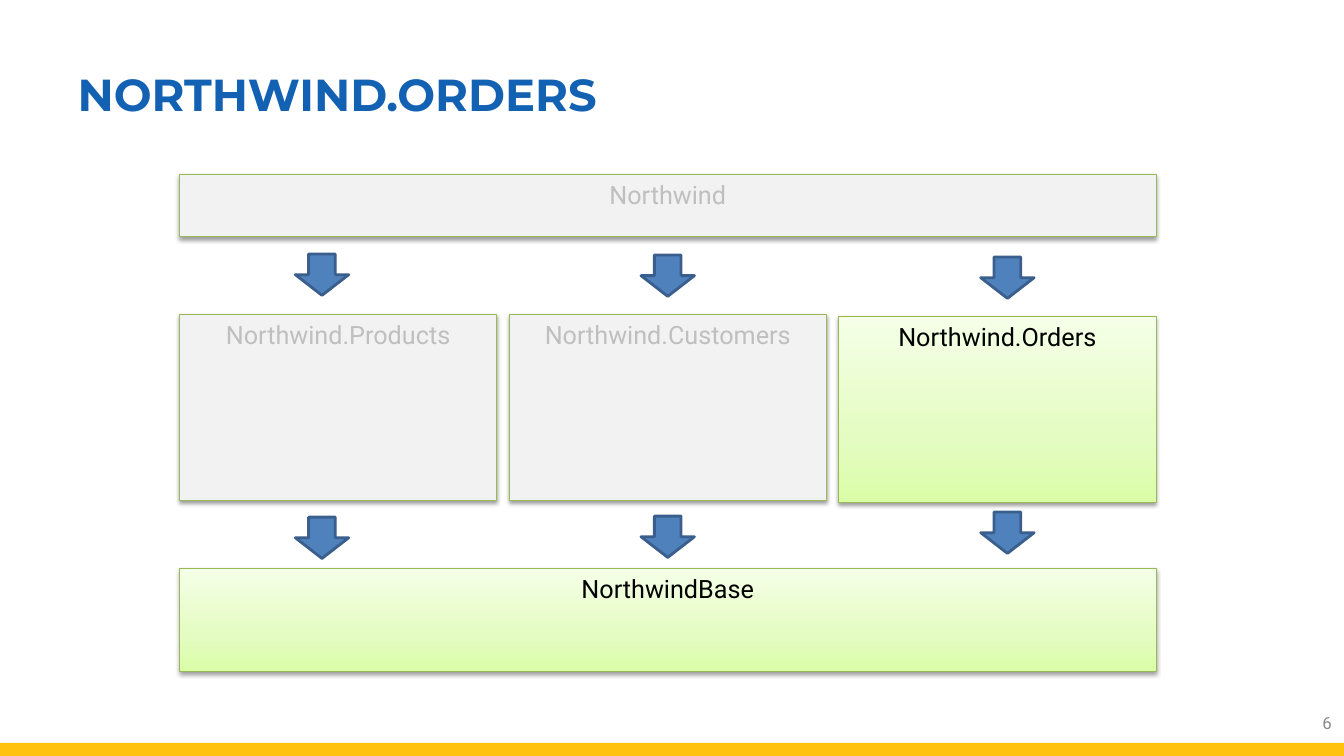
import copy
from dataclasses import dataclass

import pptx
import pptx.dml.color
import pptx.enum.shapes
import pptx.enum.text
import pptx.oxml
import pptx.oxml.ns
import pptx.util

Pt = pptx.util.Pt
Shapes = pptx.enum.shapes.MSO_SHAPE
Align = pptx.enum.text.PP_ALIGN
Anchor = pptx.enum.text.MSO_ANCHOR


@dataclass(frozen=True)
class Theme:
    heading_font: str = "Montserrat"
    body_font: str = "Roboto"
    title_size: float = 32
    label_size: float = 18
    number_size: float = 12
    title: str = "1261B3"
    number: str = "898989"
    band: str = "FFC20F"
    active_text: str = "000000"
    muted_text: str = "BFBFBF"
    muted_fill: str = "F2F2F2"
    active_fill: tuple = ((0, "DAFDA7"), (0.35, "E4FCC2"), (1, "F5FFE7"))
    box_line: str = "98B955"
    arrow_fill: str = "4F81BD"
    arrow_line: str = "3A5F8C"


def rgb(value):
    return pptx.dml.color.RGBColor.from_string(value)


class SlideBuilder:
    def __init__(self, page, theme):
        self.page = page
        self.theme = theme

    def set_text(self, frame, text, font, size, color, align, anchor, bold=False):
        frame.word_wrap = True
        frame.vertical_anchor = anchor
        para = frame.paragraphs[0]
        para.text = text
        para.alignment = align
        para.font.name = font
        para.font.size = Pt(size)
        para.font.bold = bold
        para.font.color.rgb = rgb(color)

    def title(self, text, left, top, width, height):
        title = self.page.shapes.title
        title.left, title.top = Pt(left), Pt(top)
        title.width, title.height = Pt(width), Pt(height)
        self.set_text(title.text_frame, text, self.theme.heading_font, self.theme.title_size,
                      self.theme.title, Align.LEFT, Anchor.MIDDLE, True)

    def page_number(self, text, left, top, width, height):
        box = self.page.shapes.add_textbox(Pt(left), Pt(top), Pt(width), Pt(height))
        self.set_text(box.text_frame, text, self.theme.body_font, self.theme.number_size,
                      self.theme.number, Align.RIGHT, Anchor.MIDDLE)

    def shape(self, kind, left, top, width, height, fill, line=None, weight=0):
        shape = self.page.shapes.add_shape(kind, Pt(left), Pt(top), Pt(width), Pt(height))
        shape.shadow.inherit = False
        shape.fill.solid()
        shape.fill.fore_color.rgb = rgb(fill)
        if line:
            shape.line.color.rgb = rgb(line)
            shape.line.width = Pt(weight)
        else:
            shape.line.fill.background()
        return shape

    def arrow(self, left, top):
        self.shape(Shapes.DOWN_ARROW, left, top, 38.16, 29.52,
                   self.theme.arrow_fill, self.theme.arrow_line, 2)

    def module(self, text, left, top, width, height, active=False):
        theme = self.theme
        box = self.shape(Shapes.RECTANGLE, left, top, width, height,
                         theme.muted_fill, theme.box_line, 0.75)
        if active:
            self.fade(box, theme.active_fill)
        self.drop_shadow(box)
        self.set_text(box.text_frame, text, theme.body_font, theme.label_size,
                      theme.active_text if active else theme.muted_text,
                      Align.CENTER, Anchor.TOP)

    def fade(self, box, colors):
        box.fill.gradient()
        box.fill.gradient_angle = 90
        stops = next(box.element.iter(pptx.oxml.ns.qn("a:gsLst")))
        stops.append(copy.deepcopy(stops[-1]))
        for stop, (position, color) in zip(box.fill.gradient_stops, colors):
            stop.position = position
            stop.color.rgb = rgb(color)

    def drop_shadow(self, box):
        effects = next(box.element.iter(pptx.oxml.ns.qn("a:effectLst")))
        effects.append(pptx.oxml.parse_xml(
            f'<a:outerShdw {pptx.oxml.ns.nsdecls("a")} blurRad="{Pt(3.1)}" '
            f'dist="{Pt(1.6)}" dir="5400000" rotWithShape="0">'
            '<a:srgbClr val="000000"><a:alpha val="38000"/></a:srgbClr></a:outerShdw>'))


deck = pptx.Presentation()
deck.slide_width, deck.slide_height = Pt(960), Pt(540)
page = deck.slides.add_slide(deck.slide_layouts[5])
theme = Theme()
builder = SlideBuilder(page, theme)

builder.shape(Shapes.RECTANGLE, 0, 530.64, 960, 9.36, theme.band)
builder.title("NORTHWIND.ORDERS", 48.24, 21.6, 764.64, 90)
builder.page_number("6", 916.56, 501.84, 41.76, 28.8)

LEFT, FULL_WIDTH, COLUMN_WIDTH = 128.16, 697.68, 226.8
PITCH = (FULL_WIDTH - COLUMN_WIDTH) / 2

builder.module("Northwind", LEFT, 124.56, FULL_WIDTH, 44.64)
builder.module("NorthwindBase", LEFT, 406.08, FULL_WIDTH, 73.44, True)

modules = (
    ("Northwind.Products", 224.64, False),
    ("Northwind.Customers", 224.64, False),
    ("Northwind.Orders", 226.08, True),
)
for column, (name, top, active) in enumerate(modules):
    builder.module(name, LEFT + column * PITCH, top, COLUMN_WIDTH, 133.2, active)

for left, upper, lower in ((210.96, 181.44, 369.36), (457.92, 182.16, 368.64),
                           (700.56, 183.6, 365.76)):
    builder.arrow(left, upper)
    builder.arrow(left, lower)

deck.save("out.pptx")
